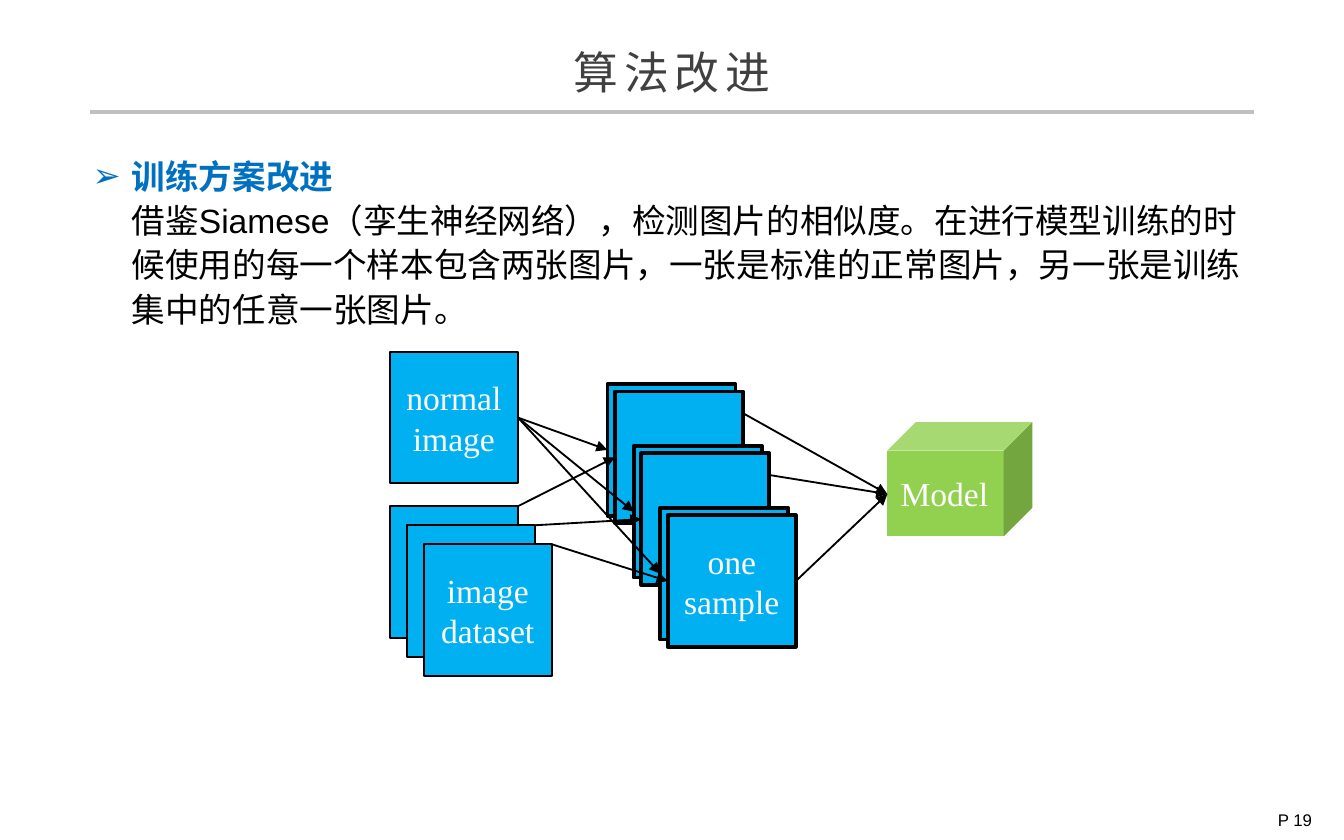
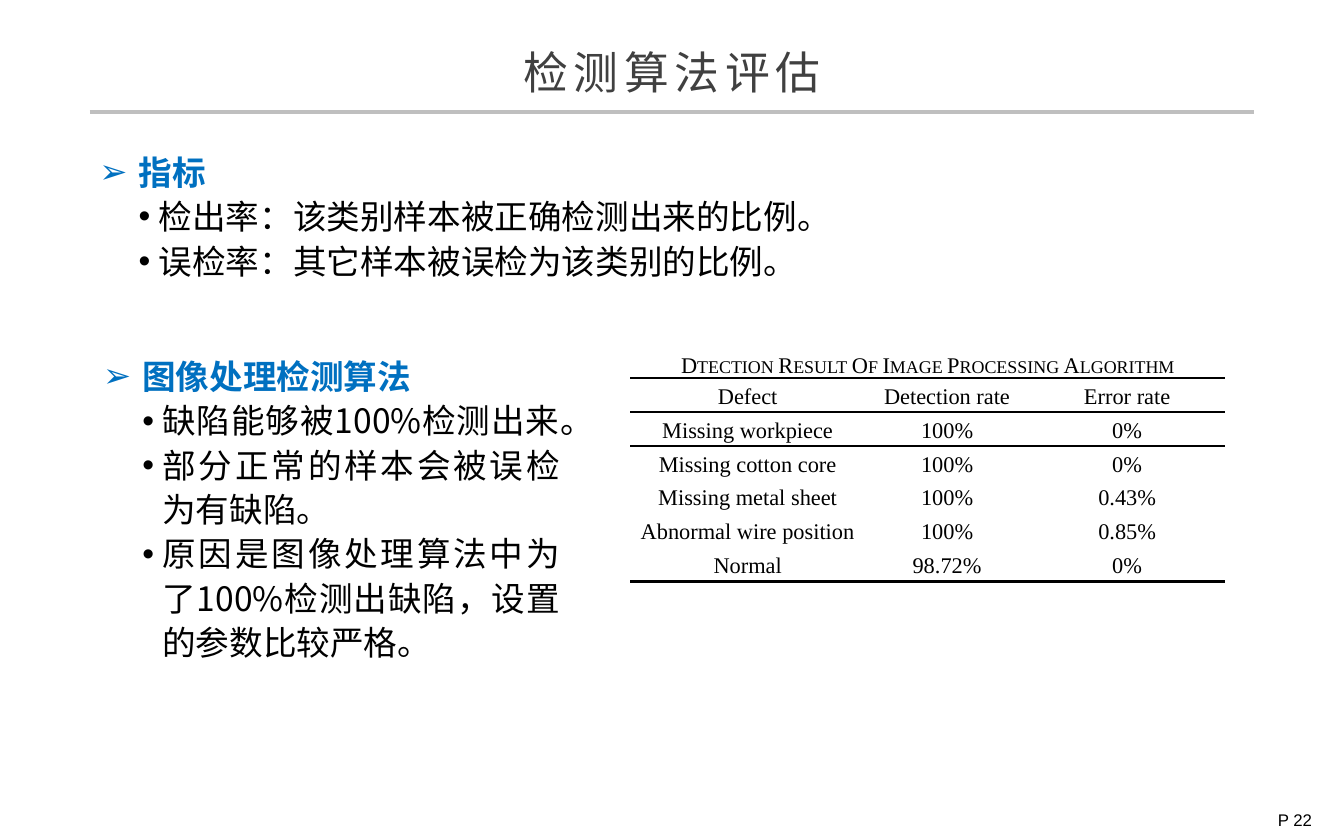
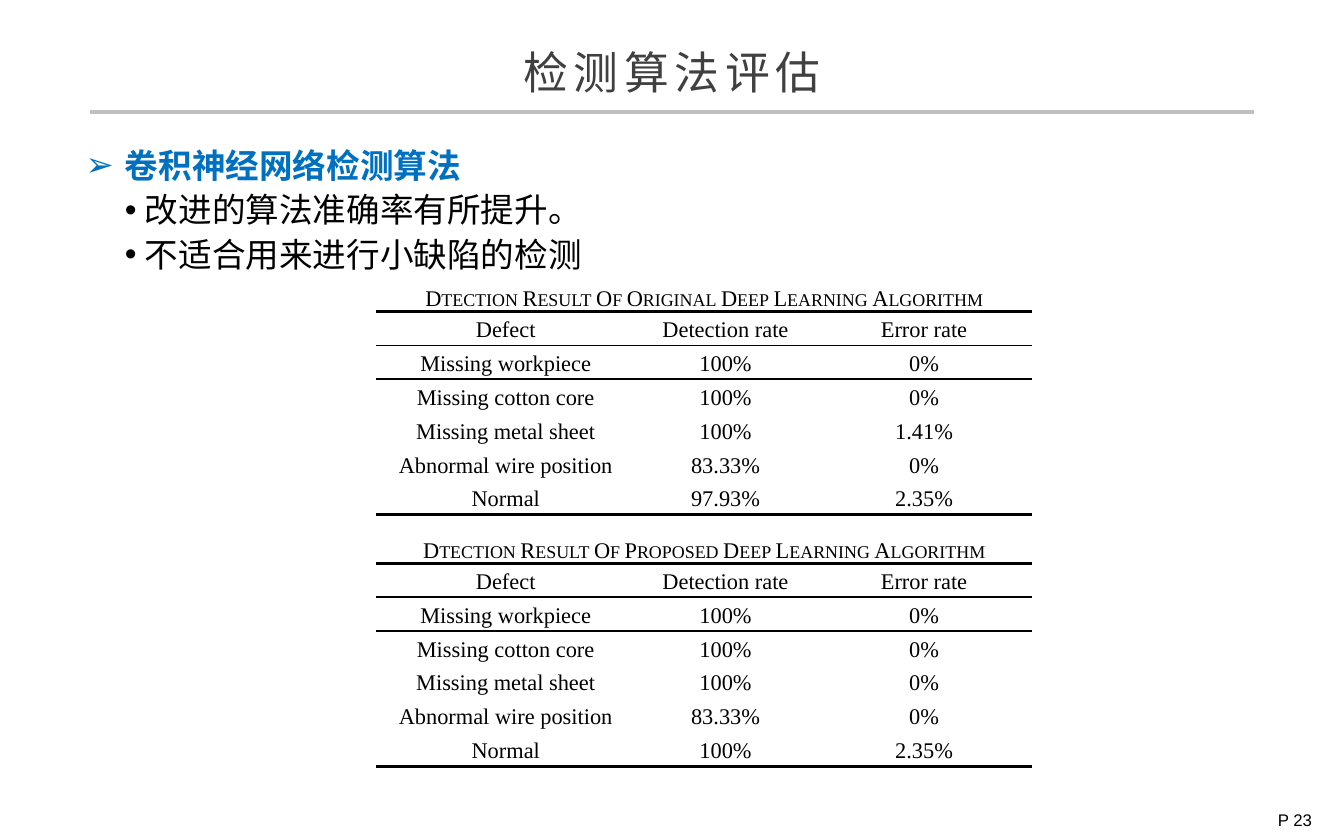
from lxml import etree
from pptx import Presentation
from pptx.dml.color import RGBColor
from pptx.enum.shapes import MSO_CONNECTOR, MSO_SHAPE
from pptx.enum.text import MSO_ANCHOR, PP_ALIGN
from pptx.oxml.ns import qn
from pptx.util import Cm, Pt

STRAIGHT = MSO_CONNECTOR.STRAIGHT
RECT, CUBE = MSO_SHAPE.RECTANGLE, MSO_SHAPE.CUBE
LEFT, CENTER, JUSTIFY = PP_ALIGN.LEFT, PP_ALIGN.CENTER, PP_ALIGN.JUSTIFY
MIDDLE, BOTTOM = MSO_ANCHOR.MIDDLE, MSO_ANCHOR.BOTTOM
LEFT_SIDE, RIGHT_SIDE = 1, 3

COLORS = {"text": "000000", "title": "404040", "heading": "0070C0", "rule": "BFBFBF",
          "image": "00B0F0", "model": "92D050", "white": "FFFFFF"}
SANS, CJK, SERIF = "Arial", "Noto Sans CJK SC", "Times New Roman"
SLIDE_W, SLIDE_H = 25.4, 15.88
NO_GRID_STYLE = "{2D5ABB26-0587-4C30-8999-92F81FD0307C}"
DEFECTS = ["Missing workpiece", "Missing cotton core", "Missing metal sheet",
           "Abnormal wire position", "Normal"]


def rgb(name):
    return RGBColor.from_string(COLORS[name])


def write(tf, text, size=18, font=SANS, color="text", bold=False, align=LEFT, spacing=None,
          margin=0, hang=0, bullet=None, tracking=None, small_caps=False):
    """Add one formatted paragraph to a text frame."""
    p = tf.add_paragraph() if tf.text else tf.paragraphs[0]
    p.alignment = align
    if spacing:
        p.line_spacing = spacing
    pPr = p._p.get_or_add_pPr()
    pPr.set("marL", str(Cm(margin)))
    pPr.set("indent", str(-Cm(hang)))
    if bullet:
        etree.SubElement(pPr, qn("a:buFont"), typeface=SANS)
        etree.SubElement(pPr, qn("a:buChar"), char=bullet)
    r = p.add_run()
    r.text = text
    r.font.size, r.font.name, r.font.bold = Pt(size), font, bold
    r.font.color.rgb = rgb(color)
    rPr = r._r.get_or_add_rPr()
    etree.SubElement(rPr, qn("a:ea"), typeface=CJK)
    if tracking:
        rPr.set("spc", str(tracking * 100))
    if small_caps:
        rPr.set("cap", "small")


def add_box(s, x, y, w, h):
    tf = s.shapes.add_textbox(Cm(x), Cm(y), Cm(w), Cm(h)).text_frame
    tf.word_wrap = True
    return tf


def add_line(s, start, end, color="text", width=1, arrow=False):
    sp = s.shapes.add_connector(STRAIGHT, *(Cm(v) for v in (*start, *end)))
    sp.line.color.rgb = rgb(color)
    sp.line.width = Pt(width)
    if arrow:
        etree.SubElement(sp.line._get_or_add_ln(), qn("a:tailEnd"), type="triangle")
    etree.SubElement(sp._element.spPr, qn("a:effectLst"))
    return sp


def add_block(s, shape, x, y, w, h, fill, lines=(), outline=0, align=CENTER):
    sp = s.shapes.add_shape(shape, Cm(x), Cm(y), Cm(w), Cm(h))
    sp.shadow.inherit = False
    sp.fill.solid()
    sp.fill.fore_color.rgb = rgb(fill)
    if outline:
        sp.line.color.rgb = rgb("text")
        sp.line.width = Pt(outline)
    else:
        sp.line.fill.background()
    tf = sp.text_frame
    tf.word_wrap = True
    tf.vertical_anchor = MIDDLE
    for line in lines:
        write(tf, line, font=SERIF, color="white", align=align)
    return sp


# Shared frame: title, rule and page number
def add_page(prs, title, title_w, page):
    s = prs.slides.add_slide(prs.slide_layouts[6])
    write(add_box(s, (SLIDE_W - title_w) / 2, 0.72, title_w, 1.27), title, size=24, font=CJK,
          color="title", align=CENTER, tracking=3)
    add_line(s, (1.7, 2.11), (SLIDE_W - 1.7, 2.11), "rule", 2.25)
    write(add_box(s, 23.9, 15.19, 1.3, 0.79), f"P {page}", size=9)
    return s


# Heading with an arrow bullet, followed by points or plain text
def add_section(s, x, y, w, h, heading, points=(), body=None, align=LEFT):
    tf = add_box(s, x, y, w, h)
    write(tf, heading, color="heading", bold=True, spacing=1.1, margin=0.74, hang=0.74, bullet="➢")
    if body:
        write(tf, body, spacing=1.1, margin=0.74)
    for point in points:
        write(tf, point, font=CJK, align=align, spacing=1.1, margin=1.12, hang=0.38, bullet="•")


def set_borders(cell, top, bottom):
    tcPr = cell._tc.get_or_add_tcPr()
    borders = [(tag, width) for tag, width in (("a:lnT", top), ("a:lnB", bottom)) if width]
    for i, (tag, width) in enumerate(borders):
        ln = etree.Element(qn(tag), w=str(Pt(width)))
        fill = etree.SubElement(ln, qn("a:solidFill"))
        etree.SubElement(fill, qn("a:srgbClr"), val=COLORS["text"])
        tcPr.insert(i, ln)


# Result table with a caption row and three horizontal rules
def add_results(s, x, y, w, caption_h, caption, rates):
    rows = [(caption, "", ""), ("Defect", "Detection rate", "Error rate")]
    rows += [(defect, *rate) for defect, rate in zip(DEFECTS, rates)]
    row_h, last = 0.64, len(rows) - 1
    frame = s.shapes.add_table(len(rows), 3, Cm(x), Cm(y), Cm(w), Cm(caption_h + row_h * last))
    table = frame.table
    table.first_row = table.horz_banding = False
    table._tbl.tblPr.find(qn("a:tableStyleId")).text = NO_GRID_STYLE
    for col, share in zip(table.columns, (0.395, 0.275, 0.33)):
        col.width = Cm(w * share)
    borders = {0: (0, 1.5), 1: (1.5, 1), 2: (1, 0), last: (0, 1.5)}
    for i, values in enumerate(rows):
        table.rows[i].height = Cm(row_h if i else caption_h)
        for j, value in enumerate(values):
            cell = table.cell(i, j)
            cell.margin_left = cell.margin_right = Cm(0.18)
            cell.margin_top = cell.margin_bottom = 0
            cell.fill.background()
            set_borders(cell, *borders.get(i, (0, 0)))
            if value:
                write(cell.text_frame, value, size=12, font=SERIF, align=CENTER,
                      spacing=1.25 if i else None, small_caps=i == 0)
    table.cell(0, 0).merge(table.cell(0, 2))
    table.cell(0, 0).vertical_anchor = BOTTOM


# Training diagram: images are paired into samples that feed the model
def add_training_diagram(s, x, y):
    w, h = 2.42, 2.49

    def add_image(left, top, lines=(), outline=1):
        return add_block(s, RECT, left, top, w, h, "image", lines, outline)

    normal = add_image(x, y, ["normal", "image"])
    data_at = [(x + 0.32 * i, y + 2.92 + 0.36 * i) for i in range(3)]
    for at, lines in zip(data_at, ((), (), ["image dataset"])):
        add_image(*at, lines)

    back_at = [(x + 4.11 + 0.5 * i, y + 0.61 + 1.17 * i) for i in range(3)]
    front_at = [(left + 0.14, top + 0.14) for left, top in back_at]
    samples = []
    for back, front, lines in zip(back_at, front_at, ((), (), ["one sample"])):
        samples.append((add_image(*back, outline=2), add_image(*front, lines, outline=2)))

    for (back, front), back_pos, front_pos, data in zip(samples, back_at, front_at, data_at):
        sp = add_line(s, (x + w, y + h / 2), (back_pos[0], back_pos[1] + h / 2), arrow=True)
        sp.begin_connect(normal, RIGHT_SIDE)
        sp.end_connect(back, LEFT_SIDE)
        sp = add_line(s, (data[0] + w, data[1]), (front_pos[0], front_pos[1] + h / 2), arrow=True)
        sp.end_connect(front, LEFT_SIDE)

    model_x, model_y = x + 9.4, y + 1.33
    add_block(s, CUBE, model_x, model_y, 2.74, 2.16, "model", ["Model"], align=LEFT)
    for (left, top), drop in zip(front_at, (0.41, 0.41, h / 2)):
        sp = add_line(s, (left + w, top + drop), (model_x, model_y + 1.36), arrow=True)
    sp.begin_connect(samples[-1][1], RIGHT_SIDE)


def build_training(prs):
    s = add_page(prs, "算法改进", 7.37, 19)
    add_section(s, 1.5, 2.74, 22.2, 3.63, "训练方案改进",
                body="借鉴Siamese（孪生神经网络），检测图片的相似度。在进行模型训练的时候使用的"
                     "每一个样本包含两张图片，一张是标准的正常图片，另一张是训练集中的任意一张图片。")
    add_training_diagram(s, 7.37, 6.65)


def build_image_processing(prs):
    s = add_page(prs, "检测算法评估", 10.08, 22)
    add_section(s, 1.63, 2.67, 22.68, 2.79, "指标",
                ["检出率：该类别样本被正确检测出来的比例。", "误检率：其它样本被误检为该类别的比例。"])
    add_section(s, 1.7, 6.53, 9.14, 7.04, "图像处理检测算法",
                ["缺陷能够被100%检测出来。", "部分正常的样本会被误检为有缺陷。",
                 "原因是图像处理算法中为了100%检测出缺陷，设置的参数比较严格。"], align=JUSTIFY)
    add_results(s, 11.91, 6.15, 11.25, 1, "Dtection Result Of Image Processing Algorithm",
                [("100%", "0%"), ("100%", "0%"), ("100%", "0.43%"), ("100%", "0.85%"),
                 ("98.72%", "0%")])


def build_deep_learning(prs):
    s = add_page(prs, "检测算法评估", 10.08, 23)
    add_section(s, 1.37, 2.54, 10.13, 2.79, "卷积神经网络检测算法",
                ["改进的算法准确率有所提升。", "不适合用来进行小缺陷的检测"], align=JUSTIFY)
    results = {
        "Original": [("100%", "0%"), ("100%", "0%"), ("100%", "1.41%"), ("83.33%", "0%"),
                     ("97.93%", "2.35%")],
        "Proposed": [("100%", "0%"), ("100%", "0%"), ("100%", "0%"), ("83.33%", "0%"),
                     ("100%", "2.35%")],
    }
    for i, (name, rates) in enumerate(results.items()):
        add_results(s, 7.11, 5.38 + 4.76 * i, 12.4, 0.5,
                    f"Dtection Result Of {name} Deep Learning Algorithm", rates)


def main():
    prs = Presentation()
    prs.slide_width, prs.slide_height = Cm(SLIDE_W), Cm(SLIDE_H)
    build_training(prs)
    build_image_processing(prs)
    build_deep_learning(prs)
    prs.save("out.pptx")


if __name__ == "__main__":
    main()
